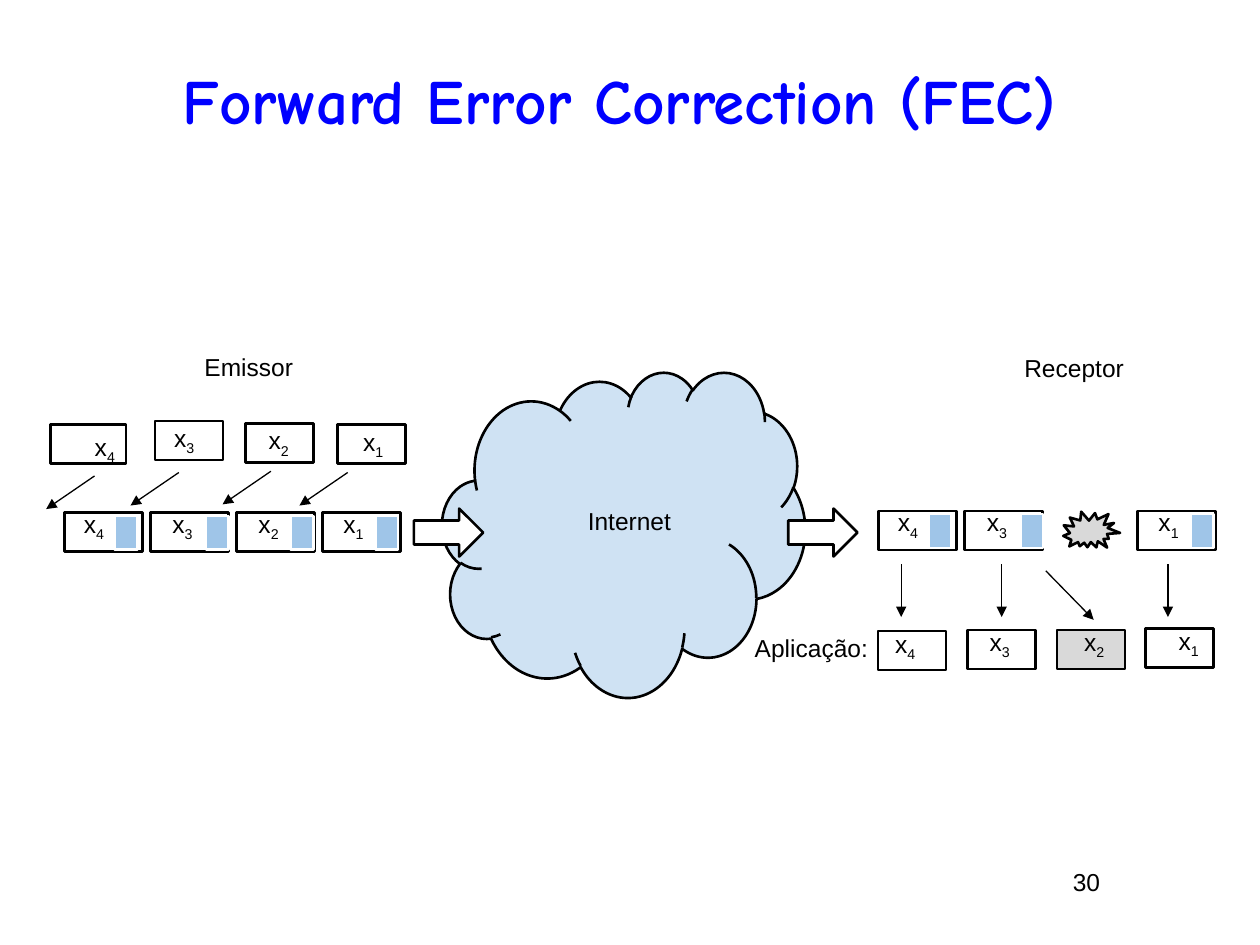
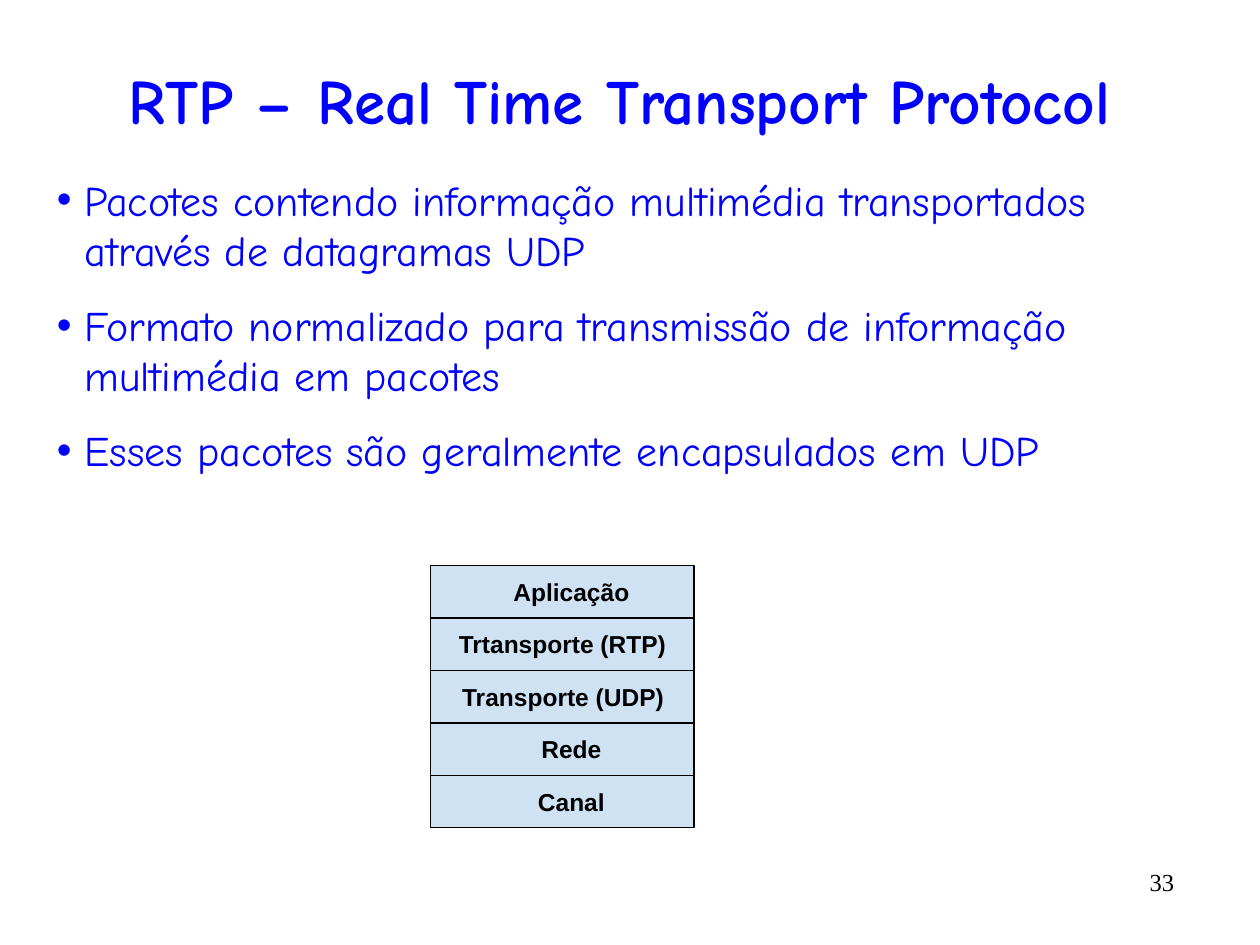
from lxml.etree import SubElement
from pptx import Presentation
from pptx.dml.color import RGBColor
from pptx.enum.shapes import MSO_CONNECTOR, MSO_SHAPE
from pptx.enum.text import MSO_ANCHOR, PP_ALIGN
from pptx.oxml.ns import qn
from pptx.util import Pt

BLUE = RGBColor(0x00, 0x00, 0xFF)
BLACK = RGBColor(0x00, 0x00, 0x00)
WHITE = RGBColor(0xFF, 0xFF, 0xFF)
GRAY = RGBColor(0xD9, 0xD9, 0xD9)
PALE_BLUE = RGBColor(0xCF, 0xE2, 0xF3)
PARITY_BLUE = RGBColor(0x9F, 0xC5, 0xE8)

HEADING_FONT = "Comic Neue"
LABEL_FONT = "Arial"
BOX_HEIGHT = 22.3
CELL_WIDTH = 38.9
PACKET_WIDTH = 44.6
LABEL_OFFSET = {4: 2.2, 3: 3.6, 2: 3.6, 1: 2.9}
PARITY_OFFSET = {4: 28.8, 3: 31.7, 2: 31, 1: 30.2}


class Painter:
    """Holds the shared style and draws on the current slide."""

    def __init__(self):
        """Create the deck with its slide size."""
        self.deck = Presentation()
        self.deck.slide_width = Pt(720)
        self.deck.slide_height = Pt(540)
        self.page = None

    def new_page(self, title, number, font=LABEL_FONT, align=PP_ALIGN.LEFT):
        """Start a slide with its title and page number."""
        self.page = self.deck.slides.add_slide(self.deck.slide_layouts[6])
        self.text(title, 24, 30, 660, 54, size=36, font=HEADING_FONT, color=BLUE, bold=True)
        self.text(str(number), 606, 492, 72, 30, font=font, align=align,
                  anchor=MSO_ANCHOR.TOP, margin=3.6)

    def frame(self, left, top, width, height, anchor, margin):
        """Add an empty wrapping text box and return its frame."""
        box = self.page.shapes.add_textbox(Pt(left), Pt(top), Pt(width), Pt(height))
        frame = box.text_frame
        frame.word_wrap = True
        frame.vertical_anchor = anchor
        frame.margin_left = frame.margin_right = Pt(7.2)
        frame.margin_top = frame.margin_bottom = Pt(margin)
        return frame

    def style(self, paragraph, size, font, color, bold=False):
        """Set the font of a paragraph."""
        paragraph.font.size = Pt(size)
        paragraph.font.name = font
        paragraph.font.color.rgb = color
        paragraph.font.bold = bold

    def text(self, words, left, top, width, height, size=14, font=LABEL_FONT, color=BLACK,
             bold=False, align=PP_ALIGN.CENTER, anchor=MSO_ANCHOR.MIDDLE, margin=0):
        """Add one line of text and return its paragraph."""
        paragraph = self.frame(left, top, width, height, anchor, margin).paragraphs[0]
        paragraph.alignment = align
        self.style(paragraph, size, font, color, bold)
        paragraph.add_run().text = words
        return paragraph

    def bullets(self, items, left, top, width, height):
        """Add a bulleted list with hanging indents."""
        frame = self.frame(left, top, width, height, MSO_ANCHOR.TOP, 3.6)
        for index, item in enumerate(items):
            paragraph = frame.paragraphs[0] if index == 0 else frame.add_paragraph()
            paragraph.add_run().text = item
            self.style(paragraph, 24, HEADING_FONT, BLUE)
            if index:
                paragraph.space_before = Pt(14)
            properties = paragraph._p.get_or_add_pPr()
            properties.set("marL", str(Pt(17.2)))
            properties.set("indent", str(Pt(-15.8)))
            SubElement(properties, qn("a:buFont")).set("typeface", LABEL_FONT)
            SubElement(properties, qn("a:buChar")).set("char", "•")

    def shape(self, kind, left, top, width, height, fill=None, line=BLACK, weight=1.5):
        """Add an outlined preset shape, hollow unless a fill is given."""
        shape = self.page.shapes.add_shape(kind, Pt(left), Pt(top), Pt(width), Pt(height))
        shape.shadow.inherit = False
        if fill is None:
            shape.fill.background()
        else:
            shape.fill.solid()
            shape.fill.fore_color.rgb = fill
        shape.line.color.rgb = line
        shape.line.width = Pt(weight)
        return shape

    def arrow(self, start_x, start_y, end_x, end_y):
        """Add a thin line with a triangular head at its end."""
        arrow = self.page.shapes.add_connector(
            MSO_CONNECTOR.STRAIGHT, Pt(start_x), Pt(start_y), Pt(end_x), Pt(end_y))
        arrow.line.color.rgb = BLACK
        arrow.line.width = Pt(0.75)
        SubElement(arrow.line._get_or_add_ln(), qn("a:tailEnd")).set("type", "triangle")
        SubElement(arrow._element.spPr, qn("a:effectLst"))

    def symbol(self, index, left, top, width, height):
        """Add the letter x with a subscript index."""
        paragraph = self.text("x", left, top, width, height)
        span = paragraph.add_run()
        span.text = str(index)
        span.font._element.set("baseline", "-25000")

    def packet(self, index, left, top):
        """Add a packet that carries a data unit and a parity block."""
        self.shape(MSO_SHAPE.RECTANGLE, left, top, PACKET_WIDTH, BOX_HEIGHT)
        self.symbol(index, left + LABEL_OFFSET[index], top - 6.2, 29.5, 27.4)
        self.shape(MSO_SHAPE.RECTANGLE, left + PARITY_OFFSET[index], top + 1.8, 13, 19.4,
                   PARITY_BLUE, WHITE)


def draw_fec(painter):
    """Draw the sender, the network and the receiver."""
    painter.new_page("Forward Error Correction (FEC)", 30)
    painter.text("Emissor", 105.1, 195.8, 74.2, 27.4)
    painter.text("Receptor", 576.7, 196.6, 74.2, 27.4)
    painter.text("Aplicação:", 418.3, 353.5, 90.7, 33.8)

    painter.shape(MSO_SHAPE.CLOUD, 252.7, 212.4, 207.4, 185.8, PALE_BLUE)
    painter.text("Internet", 322.6, 280.8, 74.2, 33.8)
    for left in (236.5, 450.4):
        painter.shape(MSO_SHAPE.RIGHT_ARROW, left, 290.6, 39.6, 27.4, WHITE)

    source_units = [
        (4, 28.8, 242.6, 43.2, 45.4, 242.5),
        (3, 88.6, 240.5, CELL_WIDTH, 90.7, 240.5),
        (2, 140.4, 241.9, CELL_WIDTH, 144.7, 241.9),
        (1, 193, 242.6, CELL_WIDTH, 198.7, 242.6),
    ]
    for index, left, top, width, label_left, label_top in source_units:
        painter.shape(MSO_SHAPE.RECTANGLE, left, top, width, BOX_HEIGHT)
        label_height = 27.4 if index == 4 else 21.6
        painter.symbol(index, label_left, label_top, 29, label_height)
    for start_x, start_y in ((54, 272), (102.2, 270), (154.8, 269.3), (198.7, 270)):
        painter.arrow(start_x, start_y, start_x - 27.6, start_y + 18.9)

    for index in (4, 3, 2, 1):
        painter.packet(index, 36.7 + 49.2 * (4 - index), 293)
    for index in (4, 3, 1):
        painter.packet(index, 501.9 + 49.4 * (4 - index), 292)
    lost_packet = painter.shape(MSO_SHAPE.EXPLOSION2, 607.7, 290.9, 31.7, 25.2, GRAY)
    lost_packet.rotation = 20.6

    received_units = [
        (4, 501.8, 360.6, 504, 355, None),
        (3, 553, 360, 558, 354.2, None),
        (2, 604.1, 360, 612, 354.2, GRAY),
        (1, 654.5, 359.3, 666, 353.5, None),
    ]
    for index, left, top, label_left, label_top, fill in received_units:
        painter.shape(MSO_SHAPE.RECTANGLE, left, top, CELL_WIDTH, BOX_HEIGHT, fill)
        painter.symbol(index, label_left, label_top, 26.6, 27.4)
    for center in (515, 572.4, 667.4):
        painter.arrow(center, 322.5, center, 352.6)
    painter.arrow(597.6, 326.2, 625, 354.2)


def draw_rtp(painter):
    """Draw the protocol points and the layer stack."""
    painter.new_page("RTP – Real Time Transport Protocol", 33, "Times New Roman", PP_ALIGN.RIGHT)
    painter.bullets([
        "Pacotes contendo informação multimédia transportados através de datagramas UDP",
        "Formato normalizado para transmissão de informação multimédia em pacotes",
        "Esses pacotes são geralmente encapsulados em UDP",
    ], 24, 96, 659, 196.6)
    layers = [
        ("Aplicação", 274.3, 104.4, PP_ALIGN.CENTER),
        ("Trtansporte (RTP)", 246.2, 150.5, PP_ALIGN.CENTER),
        ("Transporte (UDP)", 257, 139.7, PP_ALIGN.LEFT),
        ("Rede", 274.3, 104.4, PP_ALIGN.CENTER),
        ("Canal", 274.3, 104.4, PP_ALIGN.CENTER),
    ]
    for row, (name, left, width, align) in enumerate(layers):
        top = 323.1 + 30 * row
        painter.shape(MSO_SHAPE.RECTANGLE, 246.2, top, 150.5, 30, PALE_BLUE, weight=0.75)
        painter.text(name, left, top + 5.3, width, 19.4, bold=True, align=align)


def main():
    """Build and save the deck."""
    painter = Painter()
    draw_fec(painter)
    draw_rtp(painter)
    painter.deck.save("out.pptx")


if __name__ == "__main__":
    main()
